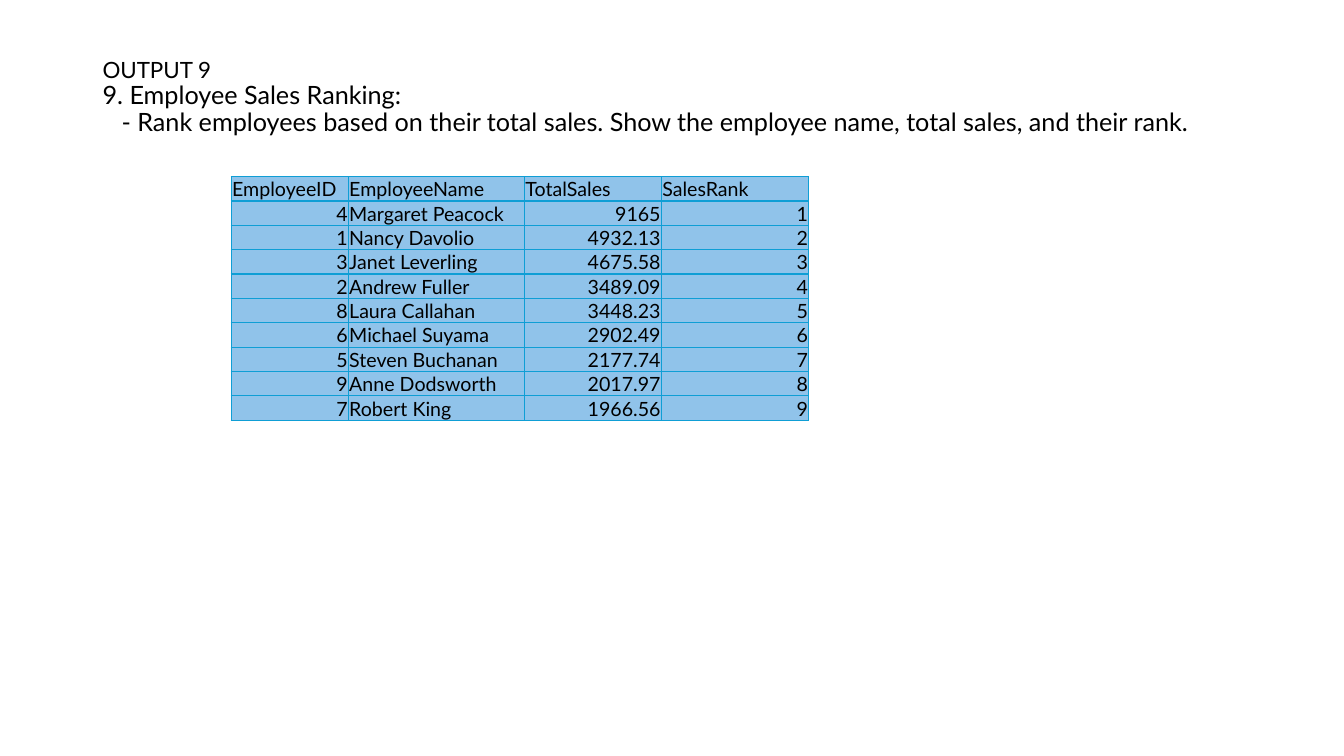
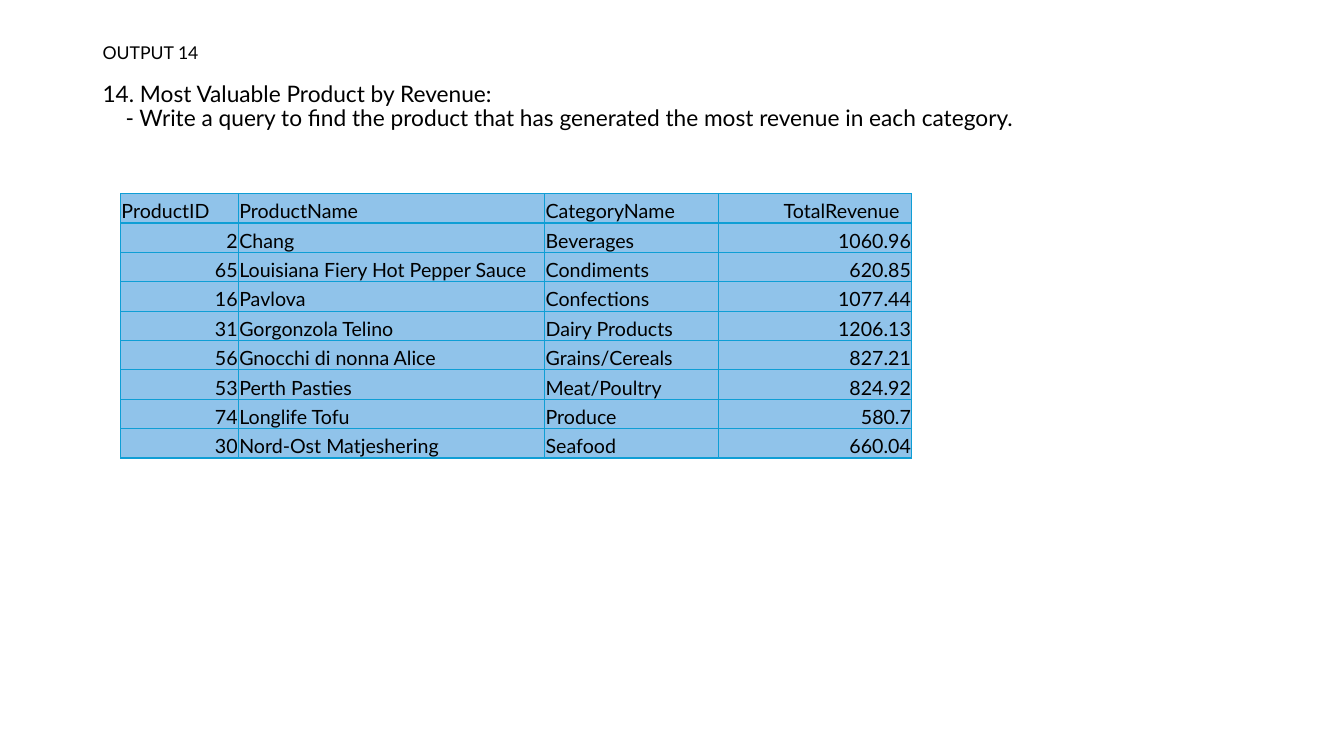
"""Build two slides showing SQL query results as tables."""
from dataclasses import dataclass

from lxml.etree import SubElement
from pptx import Presentation
from pptx.dml.color import RGBColor
from pptx.enum.text import MSO_ANCHOR as Anchor, MSO_AUTO_SIZE as AutoSize, PP_ALIGN as Align
from pptx.oxml.ns import qn
from pptx.util import Cm, Pt


@dataclass(frozen=True)
class Theme:
    font: str = "Lato"
    text: RGBColor = RGBColor(0, 0, 0)
    fill: RGBColor = RGBColor(0x90, 0xC3, 0xEA)
    border: str = "0F9ED5"
    border_width: int = Pt(1)
    table_size: float = 14
    line_spacing: float = 0.9


THEME = Theme()
TITLE_BOX = (Cm(2.33), Cm(1.01), Cm(29.21), Cm(3.68))
CELL_INSET = 0.02

OUTPUTS = [
    {
        "label": "OUTPUT 9",
        "question": "9. Employee Sales Ranking:",
        "task": "- Rank employees based on their total sales. "
                "Show the employee name, total sales, and their rank.",
        "label_size": 16, "question_size": 18, "label_gap": 0,
        "title_inset": 0.47, "task_indent": 0.48,
        "origin": (5.83, 4.45), "row_height": 0.61,
        "widths": (2.95, 4.44, 3.45, 3.71),
        "right_headers": {},
        "rows": [
            ("EmployeeID", "EmployeeName", "TotalSales", "SalesRank"),
            ("4", "Margaret Peacock", "9165", "1"),
            ("1", "Nancy Davolio", "4932.13", "2"),
            ("3", "Janet Leverling", "4675.58", "3"),
            ("2", "Andrew Fuller", "3489.09", "4"),
            ("8", "Laura Callahan", "3448.23", "5"),
            ("6", "Michael Suyama", "2902.49", "6"),
            ("5", "Steven Buchanan", "2177.74", "7"),
            ("9", "Anne Dodsworth", "2017.97", "8"),
            ("7", "Robert King", "1966.56", "9"),
        ],
    },
    {
        "label": "OUTPUT 14",
        "question": "14. Most Valuable Product by Revenue:",
        "task": "- Write a query to find the product that has generated "
                "the most revenue in each category.",
        "label_size": 12.6, "question_size": 16.2, "label_gap": 13.8,
        "title_inset": 0.1, "task_indent": 0.58,
        "origin": (3.04, 4.88), "row_height": 0.74,
        "widths": (2.97, 7.72, 4.38, 4.87),
        "right_headers": {"TotalRevenue": 0.31},
        "rows": [
            ("ProductID", "ProductName", "CategoryName", "TotalRevenue"),
            ("2", "Chang", "Beverages", "1060.96"),
            ("65", "Louisiana Fiery Hot Pepper Sauce", "Condiments", "620.85"),
            ("16", "Pavlova", "Confections", "1077.44"),
            ("31", "Gorgonzola Telino", "Dairy Products", "1206.13"),
            ("56", "Gnocchi di nonna Alice", "Grains/Cereals", "827.21"),
            ("53", "Perth Pasties", "Meat/Poultry", "824.92"),
            ("74", "Longlife Tofu", "Produce", "580.7"),
            ("30", "Nord-Ost Matjeshering", "Seafood", "660.04"),
        ],
    },
]


def style_runs(paragraph, size):
    for run in paragraph.runs:
        run.font.name = THEME.font
        run.font.size = Pt(size)
        run.font.color.rgb = THEME.text


def fill_title(title, output):
    title.left, title.top, title.width, title.height = TITLE_BOX
    frame = title.text_frame
    frame.text = "\n".join(output[part] for part in ("label", "question", "task"))
    frame.word_wrap = True
    frame.auto_size = AutoSize.NONE
    frame.vertical_anchor = Anchor.TOP
    frame.margin_top = Cm(output["title_inset"])
    label, question, task = frame.paragraphs
    sizes = (output["label_size"], output["question_size"], output["question_size"])
    for paragraph, size in zip((label, question, task), sizes):
        paragraph.alignment = Align.LEFT
        paragraph.line_spacing = THEME.line_spacing
        paragraph.space_before = Pt(0)
        style_runs(paragraph, size)
    question.space_before = Pt(output["label_gap"])
    task_format = task._p.get_or_add_pPr()
    task_format.set("marL", str(Cm(output["task_indent"])))
    task_format.set("indent", "0")


def add_borders(cell):
    cell_format = cell._tc.get_or_add_tcPr()
    for side in ("lnL", "lnR", "lnT", "lnB"):
        line = SubElement(cell_format, qn(f"a:{side}"), w=str(THEME.border_width))
        SubElement(SubElement(line, qn("a:solidFill")), qn("a:srgbClr"), val=THEME.border)


def fill_cell(cell, value, right_headers):
    cell.text = value
    cell.vertical_anchor = Anchor.BOTTOM
    cell.margin_left = cell.margin_top = Cm(CELL_INSET)
    cell.margin_right = Cm(right_headers.get(value, CELL_INSET))
    cell.margin_bottom = 0
    add_borders(cell)
    cell.fill.solid()
    cell.fill.fore_color.rgb = THEME.fill
    paragraph = cell.text_frame.paragraphs[0]
    to_right = value[0].isdigit() or value in right_headers
    paragraph.alignment = Align.RIGHT if to_right else Align.LEFT
    style_runs(paragraph, THEME.table_size)


def add_result(slide, output):
    rows, widths = output["rows"], output["widths"]
    left, top = map(Cm, output["origin"])
    height = Cm(output["row_height"])
    result = slide.shapes.add_table(
        len(rows), len(widths), left, top, Cm(sum(widths)), height * len(rows)).table
    result.first_row = result.horz_banding = False
    for column, width in zip(result.columns, widths):
        column.width = Cm(width)
    for row, values in zip(result.rows, rows):
        row.height = height
        for cell, value in zip(row.cells, values):
            fill_cell(cell, value, output["right_headers"])


def main():
    deck = Presentation()
    deck.slide_width, deck.slide_height = Cm(33.87), Cm(19.05)
    title_only = deck.slide_layouts[5]
    for output in OUTPUTS:
        slide = deck.slides.add_slide(title_only)
        fill_title(slide.shapes.title, output)
        add_result(slide, output)
    deck.save("out.pptx")


if __name__ == "__main__":
    main()
